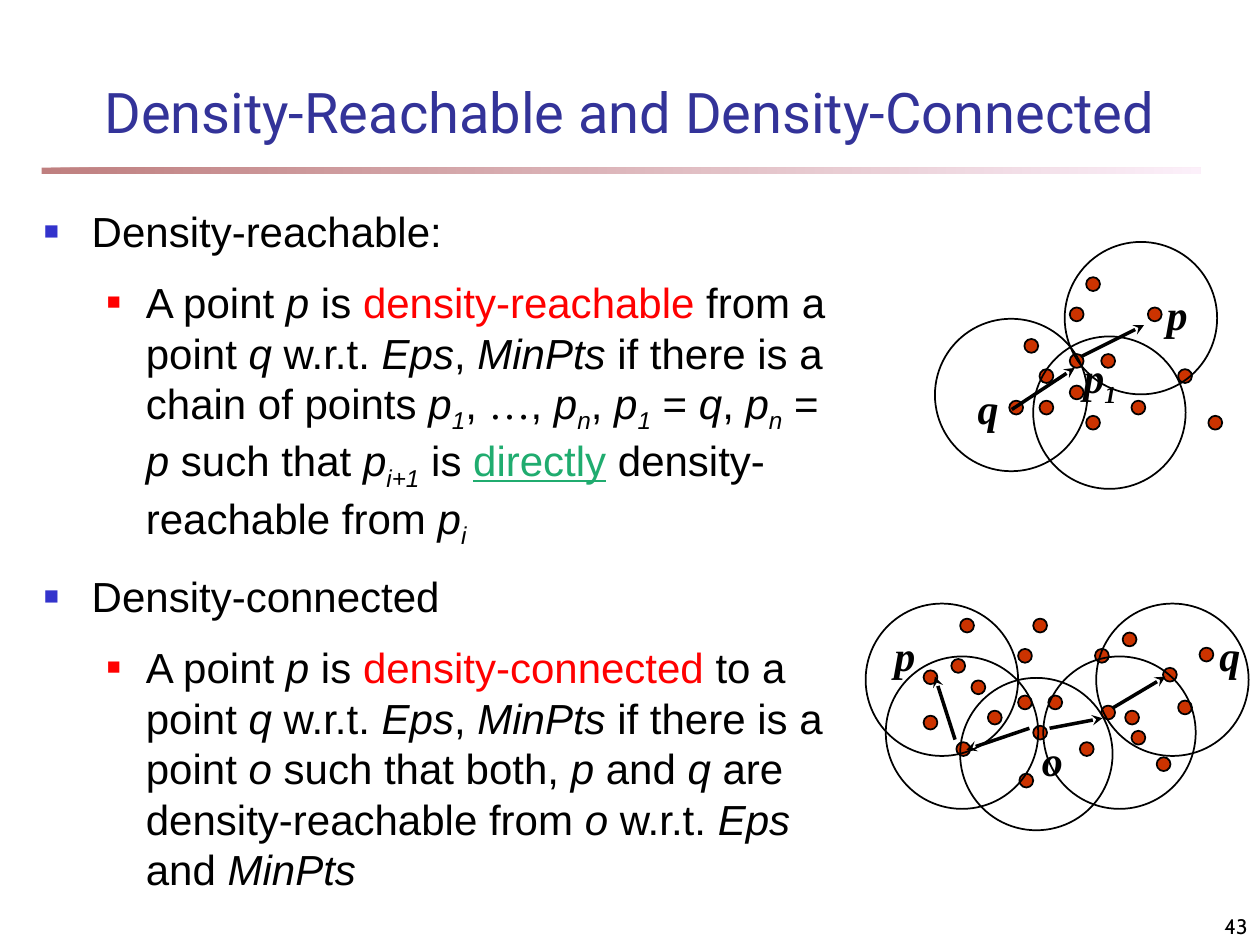
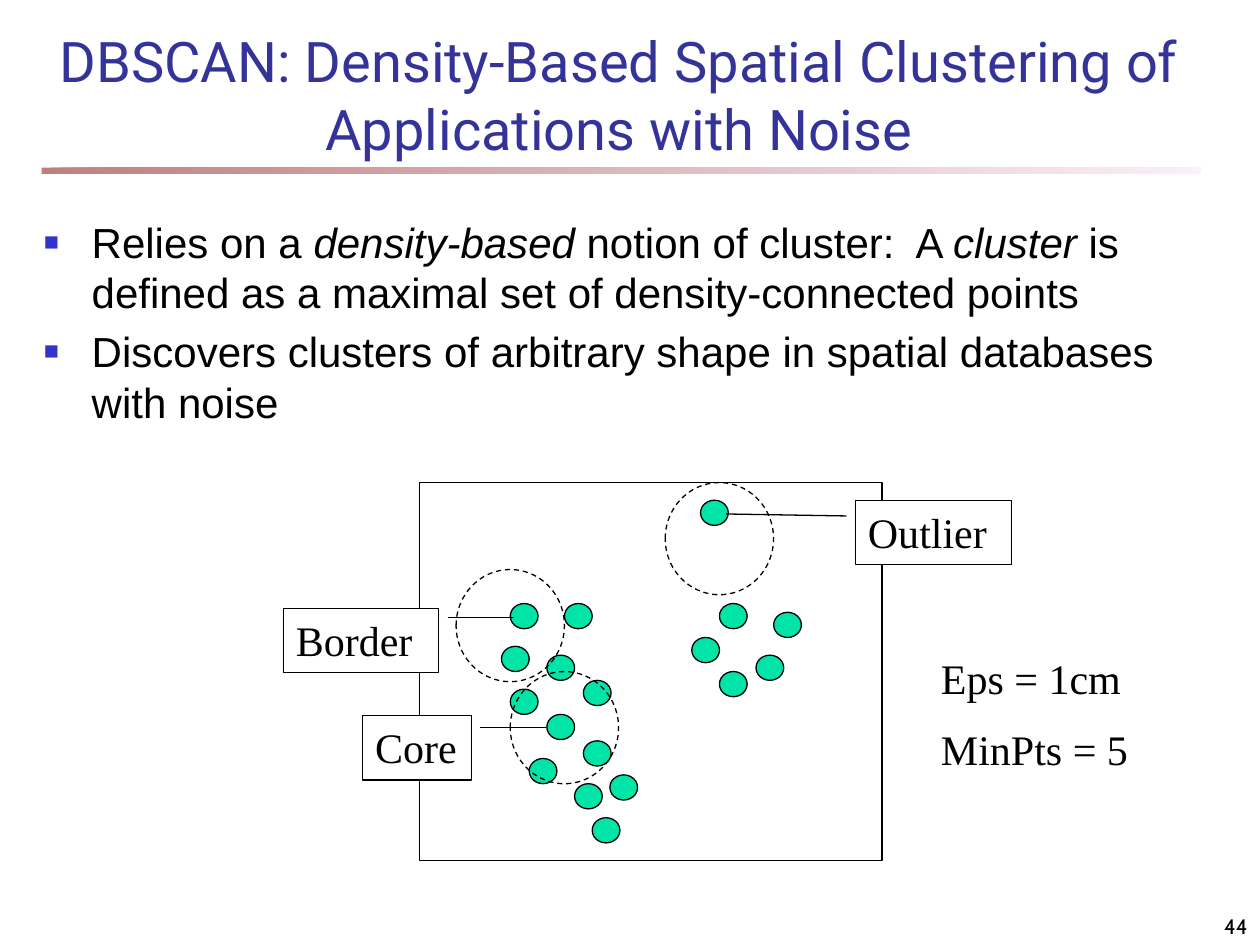
"""Build two slides on density-based clustering."""
from lxml import etree
from pptx import Presentation
from pptx import util as u
from pptx.dml.color import RGBColor
from pptx.enum import dml, shapes, text
from pptx.oxml.ns import qn

BLACK, NAVY, WHITE = "000000", "333399", "FFFFFF"
RED, GREEN, RUST, MINT = "FF0000", "20AC6F", "CC3300", "00E4A8"
TIMES = "Times New Roman"
BAND = ("800000", "FAE2F6")
BULLETS = [dict(left=.38, hang=.38, hue="3333CC", pct=60),
           dict(left=.81, hang=.31, hue=RED, pct=55)]

# Marks in text: *italic*, _subscript_, ^red^, ~green underlined~, `Times`
REACH = [
    (0, "Density-reachable:"),
    (1, "A point *p* is ^density-reachable^ from a point *q* w.r.t. *Eps*, *MinPts* "
        "if there is a chain of points *p_1_*, `…`, *p_n_*, *p_1_* = *q*, *p_n_* = *p* "
        "such that *p_i+1_* is ~directly~ density-reachable from *p_i_*"),
    (0, "Density-connected"),
    (1, "A point *p* is ^density-connected^ to a point *q* w.r.t. *Eps*, *MinPts* "
        "if there is a point *o *such that both, *p* and *q* are density-reachable "
        "from *o* w.r.t. *Eps* and *MinPts*"),
]
NOISE = [
    (0, "Relies on a *density-based* notion of cluster:  A *cluster* is defined as "
        "a maximal set of density-connected points"),
    (0, "Discovers clusters of arbitrary shape in spatial databases with noise"),
]
LINKED = dict(
    dots=[(7.71, 5.4), (8.08, 5.52), (8.08, 5.15), (7.59, 5.89), (7.84, 5.64),
          (8.09, 6.14), (8.2, 5.76), (8.2, 4.91), (8.93, 5.64), (8.69, 5.15),
          (7.33, 5.68), (8.32, 5.52), (8.57, 5.89), (9.18, 6.01), (9.35, 5.56),
          (8.74, 5.6), (8.98, 5.8), (9.52, 5.14), (8.91, 5.02), (9.23, 5.3),
          (7.55, 5.23), (7.33, 5.32), (7.62, 4.91)],
    rings=[(7.03, 5.21), (7.62, 5.38), (8.28, 5.21), (8.7, 4.79), (6.87, 4.79)],
    arrows=[(8.17, 5.78, 7.67, 5.95), (8.33, 5.78, 8.75, 5.7),
            (7.58, 5.87, 7.42, 5.37), (8.83, 5.62, 9.25, 5.37)],
    names=[("p", 7, 4.95, .42), ("q", 9.58, 4.95, .42), ("o", 8.17, 5.78, .42)])
CHAIN = dict(
    dots=[(8.13, 2.69), (8.49, 2.81), (8.49, 2.44), (8.01, 3.18), (8.25, 2.93),
          (8.25, 3.18), (8.62, 3.3), (8.62, 2.2), (9.35, 2.93), (9.11, 2.44),
          (8.49, 3.06), (8.74, 2.81), (8.98, 3.18), (9.59, 3.3)],
    rings=[(8.2, 2.67), (7.42, 2.53), (8.45, 1.92)],
    arrows=[(8.58, 2.83, 9.08, 2.58), (8.03, 3.25, 8.53, 2.92)],
    names=[("p", 9.16, 2.24, .42), ("q", 7.66, 2.99, .42), ("p_1_", 8.5, 2.74, .67)])
POINTS = [(4.05, 4.79), (3.98, 5.13), (4.34, 5.2), (4.48, 4.79), (4.63, 5.4),
          (4.05, 5.47), (4.34, 5.67), (4.2, 6.02), (4.56, 6.22), (4.7, 6.49),
          (4.63, 5.88), (5.56, 3.97), (5.71, 4.79), (5.49, 5.06), (6, 5.2),
          (6.14, 4.86), (5.71, 5.33), (4.84, 6.15)]
ZONES = [(3.62, 4.52), (4.05, 5.33), (5.28, 3.83)]
NOTES = [("Core", (2.88, 5.68, .86, .51), (.188, 1.083, .188, 1.688)),
         ("Border", (2.25, 4.83, 1.23, .51), (.145, 1.059, .145, 1.485)),
         ("Outlier", (6.79, 3.97, 1.24, .51), (.245, -.058, .214, -.828))]


def rgb(hue):
    """Turn a hex string into a colour."""
    return RGBColor.from_string(hue)


def place(item, box):
    """Move an item to left, top, width, height in inches."""
    item.left, item.top, item.width, item.height = map(u.Inches, box)


def split(line):
    """Yield each piece of a marked line with the marks that hold for it."""
    on, piece = set(), ""
    for char in line:
        if char in "*_^~`":
            if piece:
                yield piece, set(on)
            on ^= {char}
            piece = ""
        else:
            piece += char
    if piece:
        yield piece, on


def write(frame, lines, size=24, face="Arial", hue=BLACK, bold=None, slant=False,
          side=text.PP_ALIGN.LEFT, anchor=text.MSO_ANCHOR.TOP, gap=0):
    """Fill a text frame with marked lines in one format."""
    frame.word_wrap = True
    frame.auto_size = text.MSO_AUTO_SIZE.NONE
    frame.vertical_anchor = anchor
    frame.margin_left = frame.margin_right = u.Inches(.1)
    frame.margin_top = frame.margin_bottom = u.Inches(.05)
    for n, line in enumerate(lines):
        para = frame.add_paragraph() if n else frame.paragraphs[0]
        para.alignment = side
        para.space_before = u.Pt(gap)
        for piece, on in split(line):
            run = para.add_run()
            run.text = piece
            font = run.font
            font.size, font.bold = u.Pt(size), bold
            font.name = TIMES if "`" in on else face
            font.italic = slant or "*" in on
            font.underline = "~" in on
            font.color.rgb = rgb(RED if "^" in on else GREEN if "~" in on else hue)
            if "_" in on:
                run._r.get_or_add_rPr().set("baseline", "-25000")


def label(slide, box, lines, **form):
    """Add a text box."""
    item = slide.shapes.add_textbox(*map(u.Inches, box))
    write(item.text_frame, lines, **form)
    return item


def list_out(slide, box, rows, gap):
    """Add a text box with bullets on two levels."""
    item = label(slide, box, [line for _, line in rows], gap=gap)
    for para, (level, _) in zip(item.text_frame.paragraphs, rows):
        look = BULLETS[level]
        prop = para._p.get_or_add_pPr()
        prop.set("marL", str(u.Inches(look["left"])))
        prop.set("indent", str(-u.Inches(look["hang"])))
        tint = etree.SubElement(prop, qn("a:buClr"))
        etree.SubElement(tint, qn("a:srgbClr"), val=look["hue"])
        etree.SubElement(prop, qn("a:buSzPct"), val=str(look["pct"] * 1000))
        etree.SubElement(prop, qn("a:buFont"), typeface="Arial")
        etree.SubElement(prop, qn("a:buChar"), char="■")


def draw(slide, kind, box, fill=None, line=.75, dash=False):
    """Add a preset shape with a black outline."""
    item = slide.shapes.add_shape(kind, *map(u.Inches, box))
    item.shadow.inherit = False
    if fill:
        item.fill.solid()
        item.fill.fore_color.rgb = rgb(fill)
    else:
        item.fill.background()
    if line:
        item.line.color.rgb = rgb(BLACK)
        item.line.width = u.Pt(line)
    else:
        item.line.fill.background()
    if dash:
        item.line.dash_style = dml.MSO_LINE.DASH
    return item


def ovals(slide, spots, wide, high, **form):
    """Draw equal ovals at each spot."""
    for spot in spots:
        draw(slide, shapes.MSO_SHAPE.OVAL, (*spot, wide, high), **form)


def arrow(slide, ends):
    """Draw an arrow from start to tip."""
    item = slide.shapes.add_connector(shapes.MSO_CONNECTOR.STRAIGHT, *map(u.Inches, ends))
    item.line.color.rgb = rgb(BLACK)
    item.line.width = u.Pt(2)
    etree.SubElement(item.line._get_or_add_ln(), qn("a:tailEnd"), type="stealth")
    etree.SubElement(item._element.spPr, qn("a:effectLst"))


def graph(slide, dots, rings, arrows, names):
    """Draw points, their neighbourhoods, arrows and names."""
    ovals(slide, dots, .11, .11, fill=RUST, line=1)
    ovals(slide, rings, 1.21, 1.21, line=1)
    for ends in arrows:
        arrow(slide, ends)
    for name, left, top, wide in names:
        label(slide, (left, top, wide, .5), [name], face=TIMES, bold=True, slant=True)


def start(deck, title, box, page, anchor):
    """Add a slide with its title, band and page number."""
    slide = deck.slides.add_slide(deck.slide_layouts[5])
    band = draw(slide, shapes.MSO_SHAPE.RECTANGLE, (.33, 1.33, 9.2, .05), line=0)
    band.fill.gradient()
    band.fill.gradient_angle = 0
    for stop, hue in zip(band.fill.gradient_stops, BAND):
        stop.color.rgb = rgb(hue)
    for tint in band._element.spPr.iter(qn("a:srgbClr")):
        etree.SubElement(tint, qn("a:alpha"), val="50000")
    place(slide.shapes.title, box)
    write(slide.shapes.title.text_frame, [title], size=32, face="Roboto", hue=NAVY,
          side=text.PP_ALIGN.CENTER, anchor=anchor)
    label(slide, (7.92, 7.08, 2.08, .42), [str(page)], size=12, face="Cabin",
          side=text.PP_ALIGN.RIGHT, anchor=text.MSO_ANCHOR.BOTTOM)
    return slide


def main():
    """Build and save the deck."""
    deck = Presentation()
    deck.slide_width, deck.slide_height = u.Inches(10), u.Inches(7.5)

    slide = start(deck, "Density-Reachable and Density-Connected", (0, .42, 10, .92),
                  43, text.MSO_ANCHOR.MIDDLE)
    list_out(slide, (.25, 1.58, 6.57, 5.5), REACH, gap=12)
    for part in (LINKED, CHAIN):
        graph(slide, **part)

    slide = start(deck, "DBSCAN: Density-Based Spatial Clustering of Applications with Noise",
                  (.25, .25, 9.33, 1.08), 44, text.MSO_ANCHOR.BOTTOM)
    list_out(slide, (.25, 1.67, 9.33, 5.5), NOISE, gap=4.8)
    ovals(slide, POINTS, .22, .2, fill=MINT)
    draw(slide, shapes.MSO_SHAPE.RECTANGLE, (3.33, 3.83, 3.67, 3))
    ovals(slide, ZONES, .86, .89, dash=True)
    for name, box, bends in NOTES:
        note = draw(slide, shapes.MSO_SHAPE.LINE_CALLOUT_1, box, fill=WHITE)
        for n, bend in enumerate(bends):
            note.adjustments[n] = bend
        write(note.text_frame, [name], face=TIMES)
    label(slide, (7.37, 5.13, 1.8, 1.1), ["Eps = 1cm", "MinPts = 5"], face=TIMES, gap=12)

    deck.save("out.pptx")


if __name__ == "__main__":
    main()
